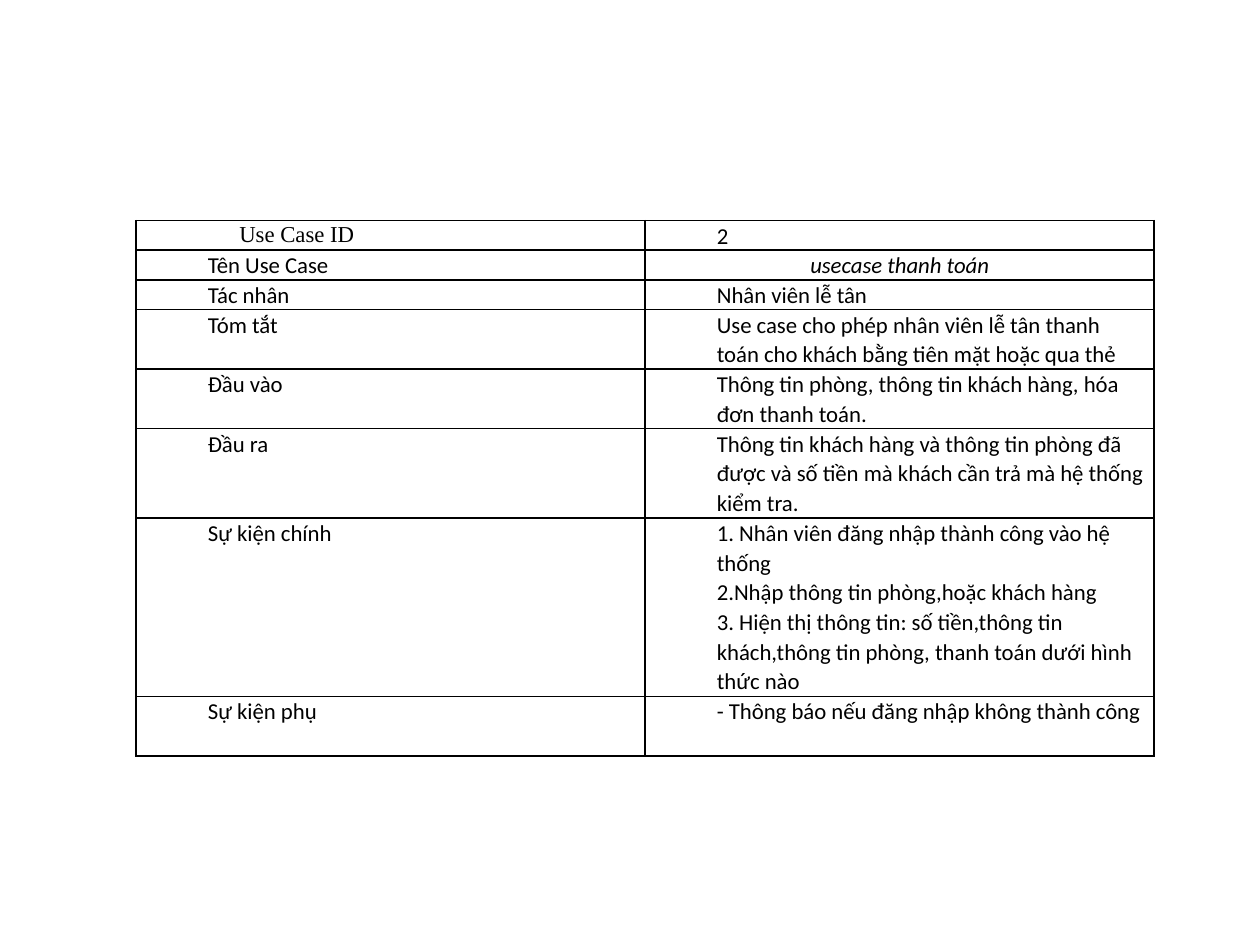
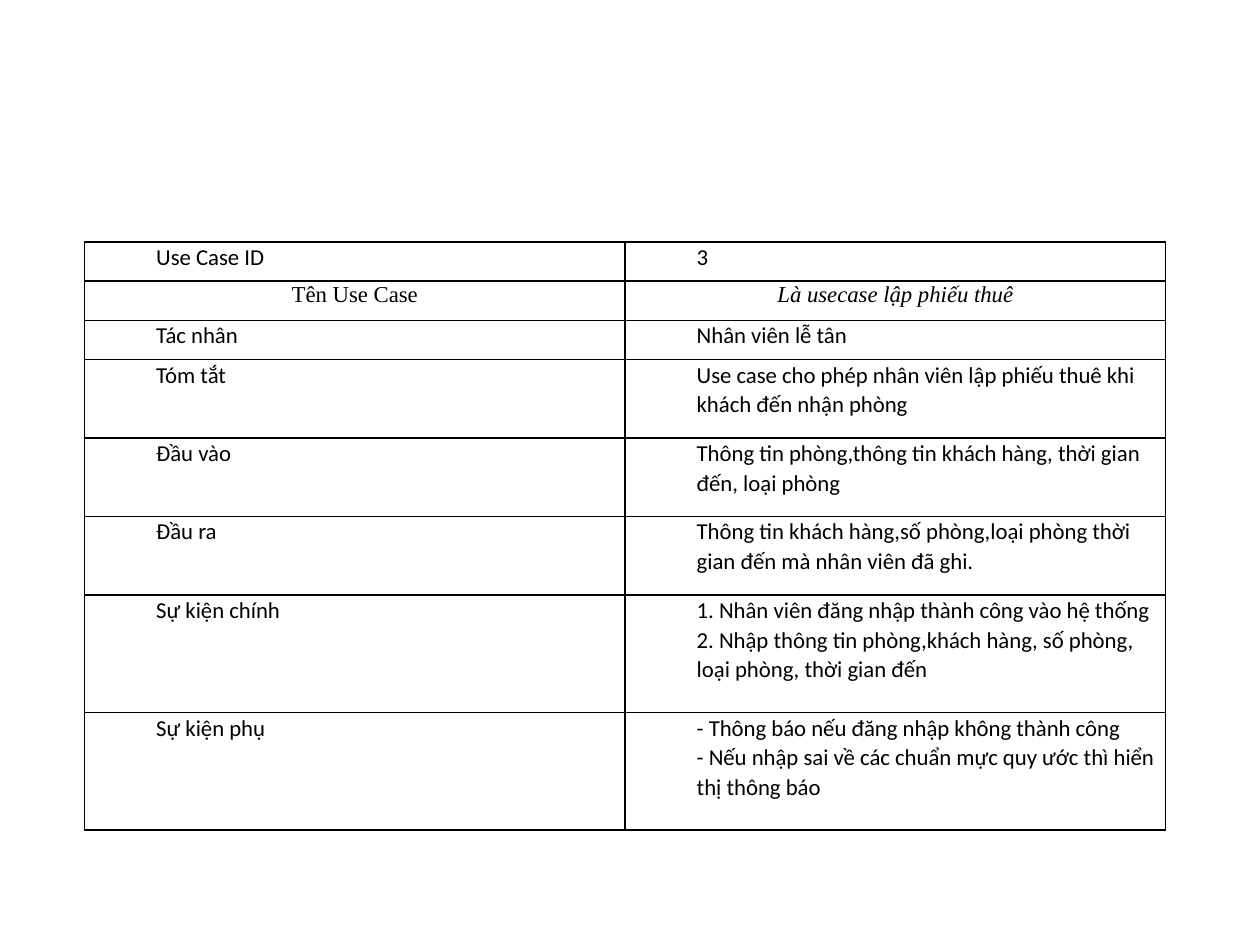
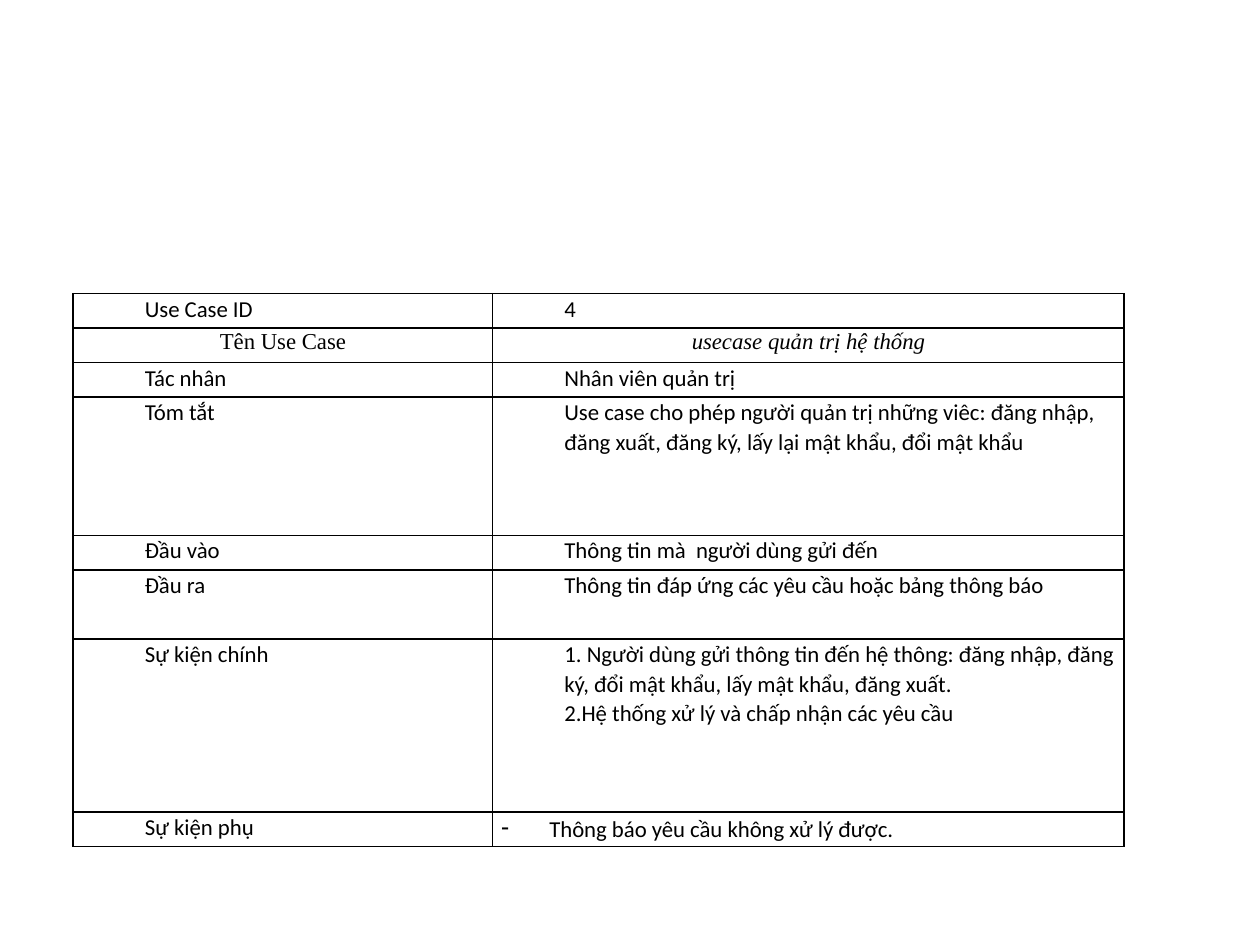
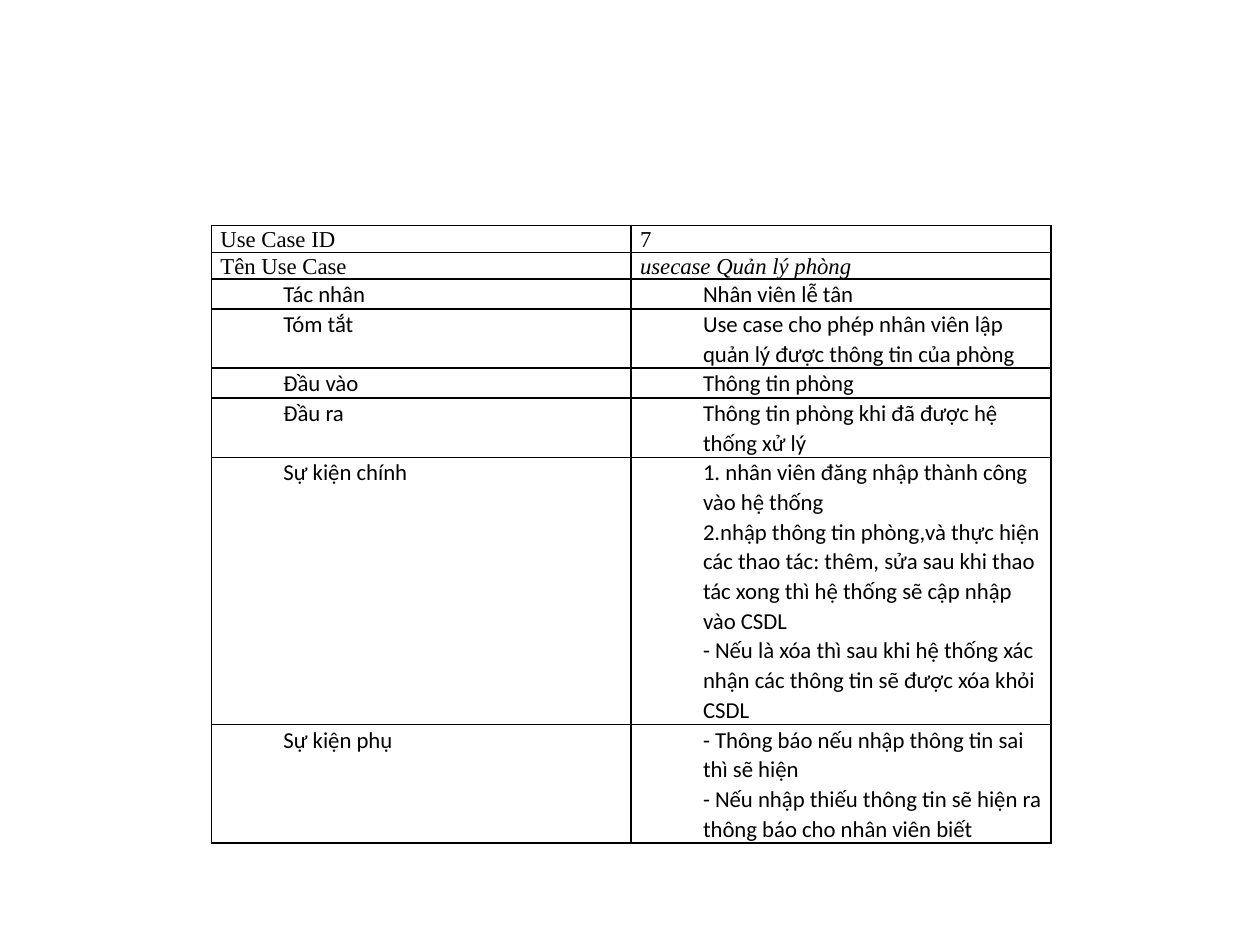
"""Build four use case specification slides for a hotel system."""
from lxml import etree
from pptx import Presentation
from pptx.dml.color import RGBColor
from pptx.enum.text import PP_ALIGN
from pptx.oxml.ns import qn
from pptx.util import Inches, Pt

CENTER = PP_ALIGN.CENTER
LEFT = PP_ALIGN.LEFT
BLACK = RGBColor(0x00, 0x00, 0x00)
SANS = "Calibri"
SERIF = "Times New Roman"
BORDER_WIDTH = Pt(1)

CELL_FORMAT = {
    "margin_left": Inches(0.07),
    "margin_right": Inches(0.07),
    "margin_top": 0,
    "margin_bottom": 0,
}
BODY = {"font": SANS, "align": LEFT, "indent": 0.5}
DEEP_SERIF = {"font": SERIF, "align": LEFT, "indent": 0.75}
FLUSH_SERIF = {"font": SERIF, "align": LEFT, "indent": 0}
CENTER_SANS = {"font": SANS, "align": CENTER, "indent": 0}
CENTER_SERIF = {"font": SERIF, "align": CENTER, "indent": 0}
DASH_ITEM = {"font": SANS, "align": LEFT, "indent": 0.38, "bullet": "-"}

FIELDS = [
    "Use Case ID", "Tên Use Case", "Tác nhân", "Tóm tắt",
    "Đầu vào", "Đầu ra", "Sự kiện chính", "Sự kiện phụ",
]
NAME_ROW = FIELDS.index("Tên Use Case")

USE_CASES = [
    {
        "origin": (1.08, 1.75),
        "columns": (4.04, 4.04),
        "height": 4.25,
        "row_lines": [1, 1, 1, 2, 2, 3, 6, 2],
        "styles": {(0, 0): DEEP_SERIF, (1, 1): CENTER_SANS},
        "values": [
            "2",
            "usecase thanh toán",
            "Nhân viên lễ tân",
            "Use case cho phép nhân viên lễ tân thanh toán cho khách bằng tiên mặt hoặc qua thẻ",
            "Thông tin phòng, thông tin khách hàng, hóa đơn thanh toán.",
            "Thông tin khách hàng và thông tin phòng đã được và số tiền mà khách cần trả "
            "mà hệ thống kiểm tra.",
            "1. Nhân viên đăng nhập thành công vào hệ thống\n"
            "2.Nhập thông tin phòng,hoặc khách hàng\n"
            "3. Hiện thị thông tin: số tiền,thông tin khách,thông tin phòng, "
            "thanh toán dưới hình thức nào",
            "- Thông báo nếu đăng nhập không thành công",
        ],
    },
    {
        "origin": (0.67, 1.92),
        "columns": (4.29, 4.29),
        "height": 4.67,
        "row_lines": [1, 1, 1, 2, 2, 2, 3, 3],
        "styles": {(1, 0): CENTER_SERIF, (1, 1): CENTER_SERIF},
        "values": [
            "3",
            "Là usecase lập phiếu thuê",
            "Nhân viên lễ tân",
            "Use case cho phép nhân viên lập phiếu thuê khi khách đến nhận phòng",
            "Thông tin phòng,thông tin khách hàng, thời gian đến, loại phòng",
            "Thông tin khách hàng,số phòng,loại phòng thời gian đến mà nhân viên đã ghi.",
            "1. Nhân viên đăng nhập thành công vào hệ thống\n"
            "2. Nhập thông tin phòng,khách hàng, số phòng, loại phòng, thời gian đến",
            "- Thông báo nếu đăng nhập không thành công\n"
            "- Nếu nhập sai về các chuẩn mực quy ước thì hiển thị thông báo",
        ],
    },
    {
        "origin": (0.58, 2.33),
        "columns": (3.33, 5.01),
        "height": 4.39,
        "row_lines": [1, 1, 1, 4, 1, 2, 5, 1],
        "styles": {(1, 0): CENTER_SERIF, (1, 1): CENTER_SERIF, (7, 1): DASH_ITEM},
        "values": [
            "4",
            "usecase quản trị hệ thống",
            "Nhân viên quản trị",
            "Use case cho phép người quản trị những viêc: đăng nhập, đăng xuất, đăng ký, "
            "lấy lại mật khẩu, đổi mật khẩu",
            "Thông tin mà  người dùng gửi đến",
            "Thông tin đáp ứng các yêu cầu hoặc bảng thông báo",
            "1. Người dùng gửi thông tin đến hệ thông: đăng nhập, đăng ký, đổi mật khẩu, "
            "lấy mật khẩu, đăng xuất.\n"
            "2.Hệ thống xử lý và chấp nhận các yêu cầu",
            "Thông báo yêu cầu không xử lý được.",
        ],
    },
    {
        "origin": (1.68, 1.79),
        "columns": (3.33, 3.33),
        "height": 4.9,
        "row_lines": [0.9, 0.9, 1, 2, 1, 2, 9, 4],
        "styles": {(row, column): FLUSH_SERIF for row in (0, 1) for column in (0, 1)},
        "values": [
            "7",
            "usecase Quản lý phòng",
            "Nhân viên lễ tân",
            "Use case cho phép nhân viên lập quản lý được thông tin của phòng",
            "Thông tin phòng",
            "Thông tin phòng khi đã được hệ thống xử lý",
            "1. nhân viên đăng nhập thành công vào hệ thống\n"
            "2.nhập thông tin phòng,và thực hiện các thao tác: thêm, sửa sau khi thao tác xong "
            "thì hệ thống sẽ cập nhập vào CSDL\n"
            "- Nếu là xóa thì sau khi hệ thống xác nhận các thông tin sẽ được xóa khỏi CSDL",
            "- Thông báo nếu nhập thông tin sai thì sẽ hiện\n"
            "- Nếu nhập thiếu thông tin sẽ hiện ra thông báo cho nhân viên biết",
        ],
    },
]


def add_borders(cell):
    """Draw a thin black line on each side of a cell."""
    properties = cell._tc.get_or_add_tcPr()
    for side in ("lnL", "lnR", "lnT", "lnB"):
        line = etree.SubElement(properties, qn(f"a:{side}"), w=str(BORDER_WIDTH))
        fill = etree.SubElement(line, qn("a:solidFill"))
        etree.SubElement(fill, qn("a:srgbClr"), val=str(BLACK))


def write_cell(cell, text, style, italic):
    """Fill a cell with paragraphs in the given style."""
    for name, value in CELL_FORMAT.items():
        setattr(cell, name, value)
    cell.text = text
    bullet = style.get("bullet")
    font_format = {"name": style["font"], "size": Pt(13), "italic": italic}
    paragraph_format = {
        "alignment": style["align"],
        "line_spacing": 1.15 if bullet else 1.07,
        "space_after": Pt(10 if bullet else 0),
    }
    for paragraph in cell.text_frame.paragraphs:
        for name, value in paragraph_format.items():
            setattr(paragraph, name, value)
        indent = Inches(style["indent"])
        properties = paragraph._p.get_or_add_pPr()
        properties.set("marL", str(indent))
        properties.set("indent", str(-indent if bullet else 0))
        if bullet:
            etree.SubElement(properties, qn("a:buChar"), char=bullet)
        for run in paragraph.runs:
            for name, value in font_format.items():
                setattr(run.font, name, value)
            run.font.color.rgb = BLACK


deck = Presentation()
deck.slide_width = Inches(10)
deck.slide_height = Inches(7.5)
blank_layout = deck.slide_layouts.get_by_name("Blank")

for use_case in USE_CASES:
    slide = deck.slides.add_slide(blank_layout)
    left, top = use_case["origin"]
    columns = use_case["columns"]
    height = use_case["height"]
    specification = slide.shapes.add_table(
        len(FIELDS), len(columns),
        Inches(left), Inches(top), Inches(sum(columns)), Inches(height),
    ).table
    specification.first_row = False
    specification.horz_banding = False
    for column, width in zip(specification.columns, columns):
        column.width = Inches(width)
    line_height = height / sum(use_case["row_lines"])
    for row, lines in zip(specification.rows, use_case["row_lines"]):
        row.height = Inches(lines * line_height)
    for row_index, entry in enumerate(zip(FIELDS, use_case["values"])):
        for column_index, text in enumerate(entry):
            cell = specification.cell(row_index, column_index)
            style = use_case["styles"].get((row_index, column_index), BODY)
            is_name = row_index == NAME_ROW and column_index == 1
            add_borders(cell)
            cell.fill.background()
            write_cell(cell, text, style, is_name)

deck.save("out.pptx")
